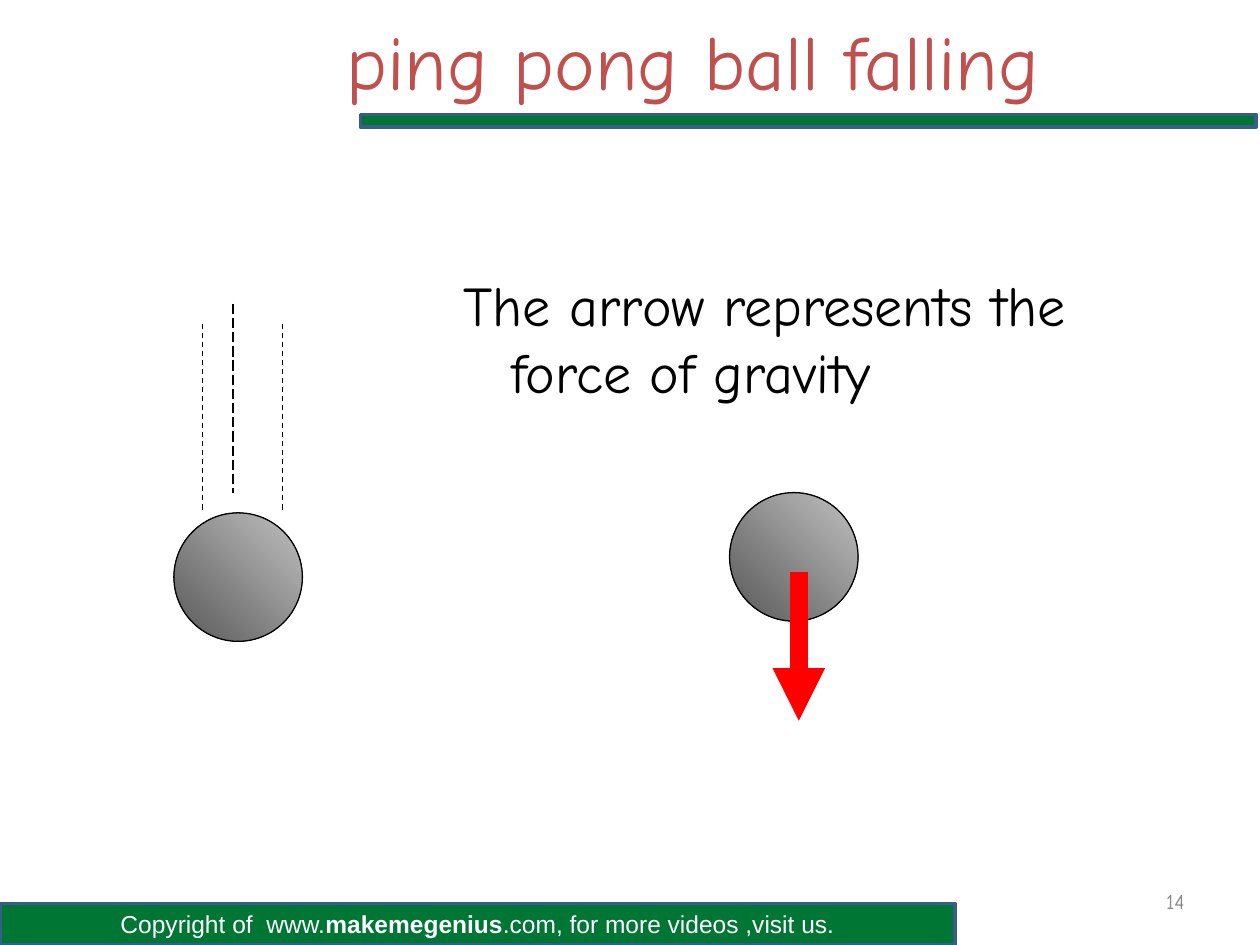
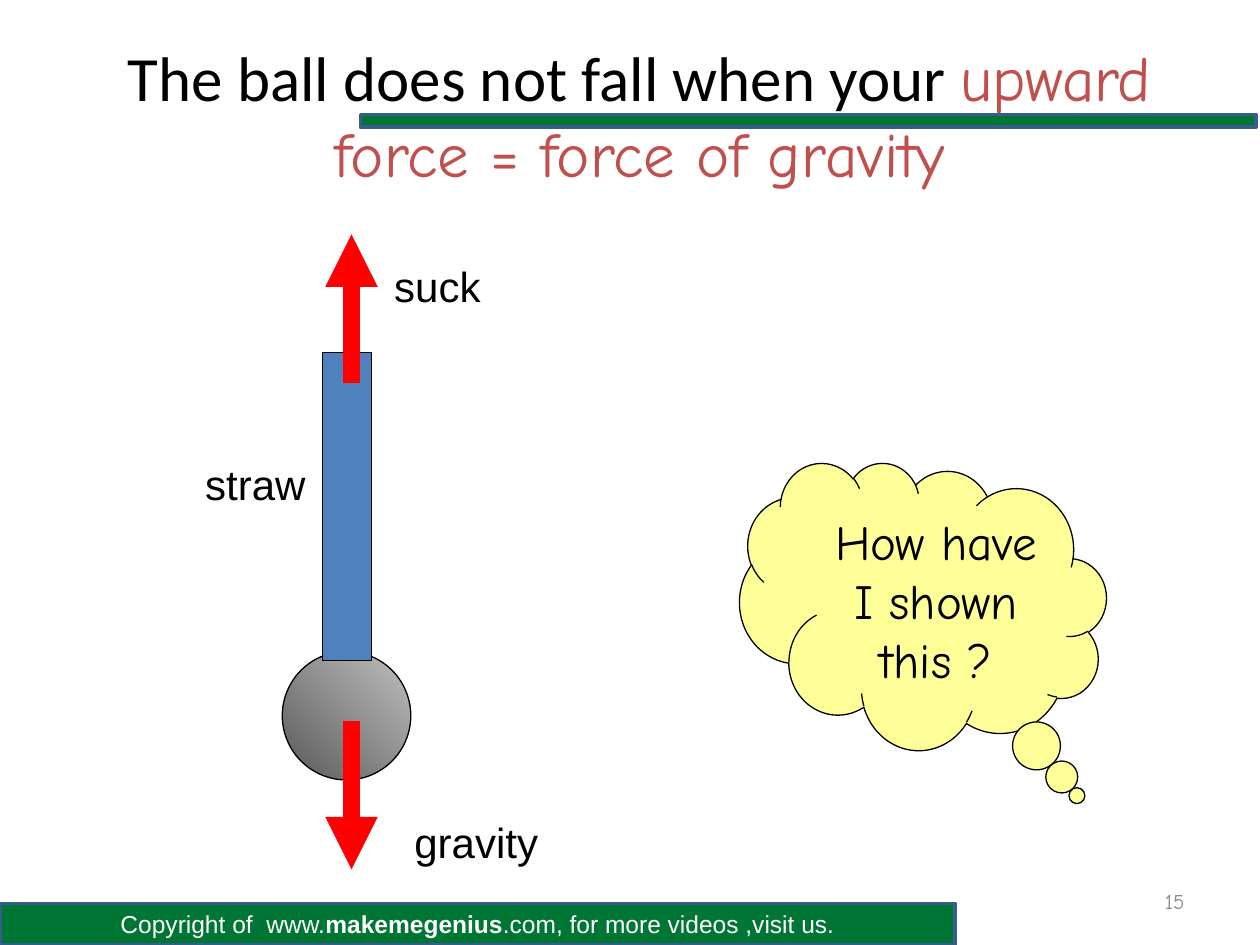
from lxml.etree import SubElement
from pptx import Presentation
from pptx.dml.color import RGBColor
from pptx.enum.dml import MSO_LINE
from pptx.enum.shapes import MSO_CONNECTOR, MSO_SHAPE
from pptx.enum.text import MSO_ANCHOR, PP_ALIGN
from pptx.oxml.ns import qn
from pptx.util import Inches, Pt

# Shared look
GREEN, NAVY, BRICK = "007635", "385D8A", "C0504D"
BLACK, WHITE, RED = "000000", "FFFFFF", "FF0000"
BLUE, YELLOW, GREY = "4F81BD", "FFFF99", "898989"
BALL_SHADES = ("595959", "C0C0C0")
COMIC = "Comic Neue"
BALL_SIZE, ARROW_LENGTH = 1.02, 1.18

FOOTER_FORMAT = {"name": "Arial", "size": Pt(14), "color": WHITE}
NUMBER_FORMAT = {"name": COMIC, "size": Pt(12), "color": GREY}
LABEL_FORMAT = {"name": "Arial", "size": Pt(24), "color": BLACK}
BODY_FORMAT = {"name": COMIC, "size": Pt(32), "color": BLACK}
CLOUD_FORMAT = {"name": COMIC, "size": Pt(28), "color": BLACK}

# Content: spans are (text, format); places are (left, top, width, height)
FOOTER = [
    ("Copyright of  www.", FOOTER_FORMAT),
    ("makemegenius", {**FOOTER_FORMAT, "bold": True}),
    (".com, for more videos ,visit us.", FOOTER_FORMAT),
]
SLIDES = [
    {
        "number": "14",
        "title_place": (1, 0, 9, 0.95),
        "title": [("ping pong ball falling",
                   {"name": COMIC, "size": Pt(44), "color": BRICK})],
        "body": "The arrow represents the force of gravity",
        "balls": [(5.79, 3.91), (1.38, 4.07)],
        "arrows": [(6.34, 4.54, 1)],
        "trails": [(1.85, 2.41, MSO_LINE.LONG_DASH),
                   (2.24, 2.57, MSO_LINE.DASH),
                   (1.61, 2.57, MSO_LINE.DASH)],
    },
    {
        "number": "15",
        "title_place": (0.7, 0.23, 8.75, 1.36),
        "title": [("The ball does not fall when your ",
                   {"name": "Calibri", "size": Pt(36), "color": BLACK}),
                  ("upward force = force of gravity",
                   {"name": COMIC, "size": Pt(36), "color": BRICK})],
        "balls": [(2.24, 5.17)],
        "straw": (2.56, 2.8, 0.39, 2.44),
        "arrows": [(2.79, 5.72, 1), (2.79, 3.04, -1)],
        "labels": [("straw", (1.53, 3.59, 1.02, 0.5)),
                   ("suck", (3.03, 2.02, 1.18, 0.5)),
                   ("gravity", (3.19, 6.43, 1.81, 0.5))],
        "cloud": "How have I shown this ?",
    },
]


def rgb(value):
    return RGBColor.from_string(value)


def write(box, spans, align=PP_ALIGN.LEFT, anchor=MSO_ANCHOR.TOP):
    frame = box.text_frame
    frame.word_wrap = True
    frame.vertical_anchor = anchor
    para = frame.paragraphs[0]
    para.alignment = align
    for text, formats in spans:
        span = para.add_run()
        span.text = text
        for key, value in formats.items():
            if key == "color":
                span.font.color.rgb = rgb(value)
            else:
                setattr(span.font, key, value)
    return para


def add_text(page, place, spans, **layout):
    box = page.shapes.add_textbox(*map(Inches, place))
    return write(box, spans, **layout)


def add_figure(page, kind, place, fill, line=BLACK, width=0.75):
    figure = page.shapes.add_shape(kind, *map(Inches, place))
    figure.shadow.inherit = False
    if isinstance(fill, tuple):
        figure.fill.gradient()
        figure.fill.gradient_angle = 45
        for stop, shade in zip(figure.fill.gradient_stops, fill):
            stop.color.rgb = rgb(shade)
    else:
        figure.fill.solid()
        figure.fill.fore_color.rgb = rgb(fill)
    figure.line.color.rgb = rgb(line)
    figure.line.width = Pt(width)
    return figure


def add_vertical(page, x, start, end, color, width, dash=None, arrow=False):
    line = page.shapes.add_connector(
        MSO_CONNECTOR.STRAIGHT, *map(Inches, (x, start, x, end)))
    line.line.color.rgb = rgb(color)
    line.line.width = Pt(width)
    if dash:
        line.line.dash_style = dash
    properties = line._element.spPr
    if arrow:
        SubElement(properties.find(qn("a:ln")), qn("a:tailEnd"), type="triangle")
    SubElement(properties, qn("a:effectLst"))


def add_frame(page, content):
    """Footer band, title rule, title and slide number."""
    footer = add_figure(page, MSO_SHAPE.RECTANGLE, (0, 7.17, 7.58, 0.33), GREEN, NAVY, 2)
    write(footer, FOOTER, align=PP_ALIGN.CENTER, anchor=MSO_ANCHOR.MIDDLE)
    add_figure(page, MSO_SHAPE.RECTANGLE, (2.86, 0.91, 7.11, 0.1), GREEN, NAVY, 2)
    add_text(page, content["title_place"], content["title"],
             align=PP_ALIGN.CENTER, anchor=MSO_ANCHOR.MIDDLE)
    add_text(page, (7.17, 6.95, 2.33, 0.4), [(content["number"], NUMBER_FORMAT)],
             align=PP_ALIGN.RIGHT, anchor=MSO_ANCHOR.MIDDLE)


def add_body(page, text):
    para = add_text(page, (3.58, 2.1, 5.85, 5.04), [(text, BODY_FORMAT)])
    indent = Inches(0.38)
    properties = para._p.get_or_add_pPr()
    properties.set("marL", str(indent))
    properties.set("indent", str(-indent))


def add_cloud(page, text):
    cloud = add_figure(page, MSO_SHAPE.CLOUD_CALLOUT, (5.87, 3.67, 2.91, 2.28), YELLOW)
    cloud._element.spPr.find(qn("a:xfrm")).set("flipH", "1")
    cloud.adjustments[0], cloud.adjustments[1] = -0.42, 0.66
    write(cloud, [(text, CLOUD_FORMAT)], align=PP_ALIGN.CENTER)


def main():
    deck = Presentation()
    deck.slide_width, deck.slide_height = Inches(10), Inches(7.5)
    for content in SLIDES:
        page = deck.slides.add_slide(deck.slide_layouts[6])
        add_frame(page, content)
        if "body" in content:
            add_body(page, content["body"])

        # Balls, straw and the lines around them
        for left, top in content["balls"]:
            add_figure(page, MSO_SHAPE.OVAL, (left, top, BALL_SIZE, BALL_SIZE), BALL_SHADES)
        if "straw" in content:
            add_figure(page, MSO_SHAPE.RECTANGLE, content["straw"], BLUE)
        for x, start, direction in content["arrows"]:
            add_vertical(page, x, start, start + direction * ARROW_LENGTH,
                         RED, 10, arrow=True)
        for x, start, dash in content.get("trails", []):
            add_vertical(page, x, start, start + 1.5, BLACK, 0.75, dash=dash)

        # Labels and thought cloud
        for text, place in content.get("labels", []):
            add_text(page, place, [(text, LABEL_FORMAT)])
        if "cloud" in content:
            add_cloud(page, content["cloud"])
    deck.save("out.pptx")


if __name__ == "__main__":
    main()
